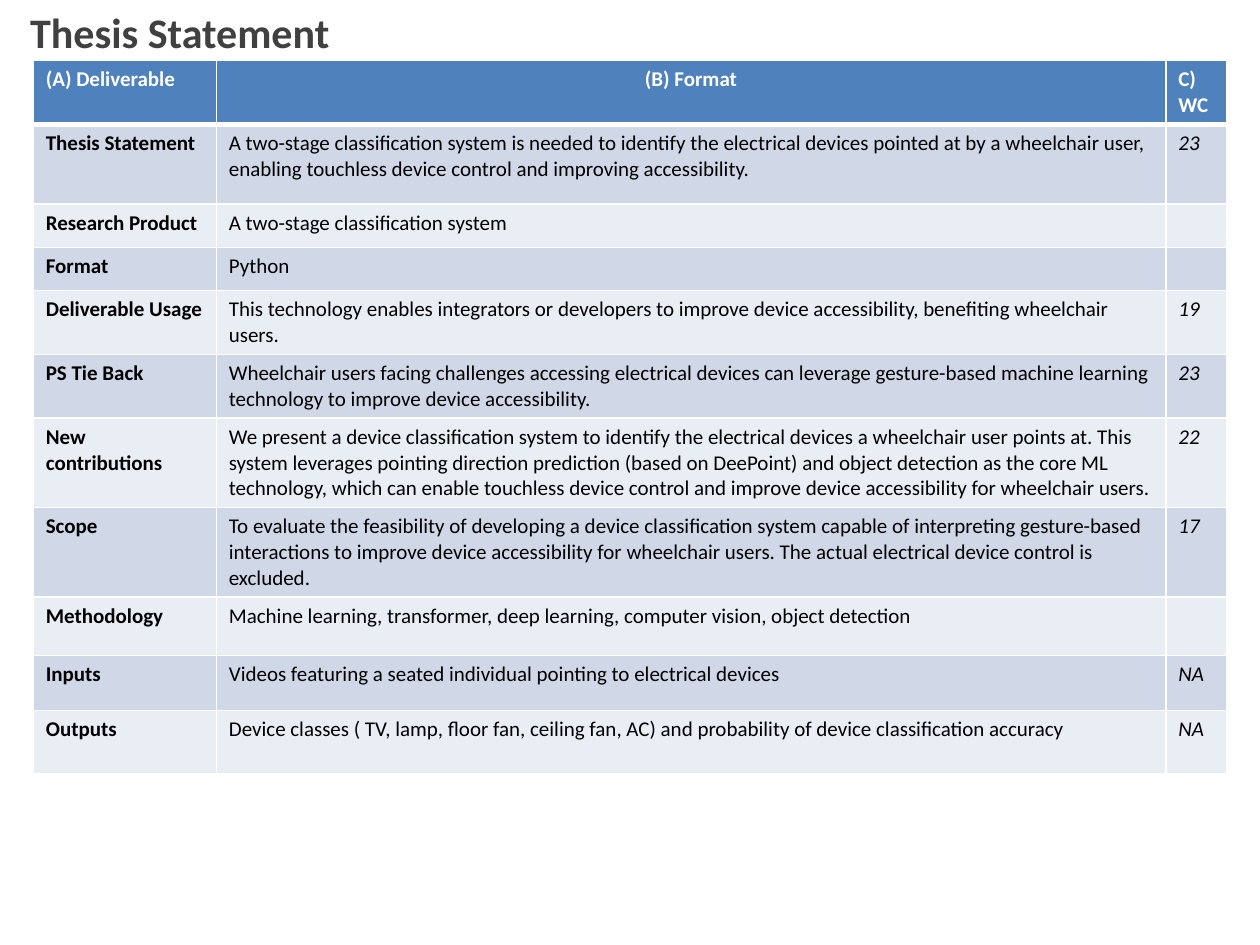
from lxml.etree import SubElement
from pptx import Presentation
from pptx.dml.color import RGBColor as RGB
from pptx.enum.text import MSO_ANCHOR as Anchor, PP_ALIGN as Align
from pptx.oxml.ns import qn
from pptx.util import Pt

FACE = "Calibri"
WHITE = RGB(0xFF, 0xFF, 0xFF)
BLACK = RGB(0, 0, 0)
GREY = RGB(0x40, 0x40, 0x40)
BLUE = RGB(0x4F, 0x81, 0xBD)
BANDS = [RGB(0xE9, 0xED, 0xF4), RGB(0xD0, 0xD8, 0xE8)]

WIDTHS = [104.6, 542.6, 34.7]
HEIGHTS = [36, 45.3, 25, 24.6, 36, 36, 39, 34.5, 33.4, 31.4, 36]
ROWS = [
    ("(A) Deliverable", "(B) Format", "C) WC"),
    ("Thesis Statement",
     "A two-stage classification system is needed to identify the electrical "
     "devices pointed at by a wheelchair user, enabling touchless device "
     "control and improving accessibility.", "23"),
    ("Research Product", "A two-stage classification system", ""),
    ("Format", "Python", ""),
    ("Deliverable Usage",
     "This technology enables integrators or developers to improve device "
     "accessibility, benefiting wheelchair users.", "19"),
    ("PS Tie Back",
     "Wheelchair users facing challenges accessing electrical devices can "
     "leverage gesture-based machine learning technology to improve device "
     "accessibility.", "23"),
    ("New contributions",
     "We present a device classification system to identify the electrical "
     "devices a wheelchair user points at. This system leverages pointing "
     "direction prediction (based on DeePoint) and object detection as the "
     "core ML technology, which can enable touchless device control and "
     "improve device accessibility for wheelchair users.", "22"),
    ("Scope",
     "To evaluate the feasibility of developing a device classification "
     "system capable of interpreting gesture-based interactions to improve "
     "device accessibility for wheelchair users. The actual electrical device "
     "control is excluded.", "17"),
    ("Methodology",
     "Machine learning, transformer, deep learning, computer vision, object "
     "detection", ""),
    ("Inputs",
     "Videos featuring a seated individual pointing to electrical devices",
     "NA"),
    ("Outputs",
     "Device classes ( TV, lamp, floor fan, ceiling fan, AC) and probability "
     "of device classification accuracy", "NA"),
]


def style(para, size, color, bold, slant=False):
    for run in para.runs:
        font = run.font
        font.name, font.size = FACE, Pt(size)
        font.bold, font.italic = bold, slant
        font.color.rgb = color


def add_title(slide, text):
    title = slide.shapes.title
    title.left, title.top = Pt(10), Pt(0)
    title.width, title.height = Pt(668), Pt(21)
    frame = title.text_frame
    frame.text = text
    frame.word_wrap = True
    frame.vertical_anchor = Anchor.TOP
    para = frame.paragraphs[0]
    para.alignment = Align.LEFT
    style(para, 24, GREY, True)


def set_edges(cell, **widths):
    """Draw white cell borders; keys L, R, T, B give widths in points."""
    props = cell._tc.get_or_add_tcPr()
    for side, width in widths.items():
        line = SubElement(props, qn(f"a:ln{side}"), w=str(Pt(width)))
        fill = SubElement(line, qn("a:solidFill"))
        SubElement(fill, qn("a:srgbClr"), val=str(WHITE))


def fill_cell(cell, text, row, col):
    head = row == 0
    set_edges(cell, L=1, R=1, T=3 if row == 1 else 1, B=3 if head else 1)
    cell.fill.solid()
    cell.fill.fore_color.rgb = BLUE if head else BANDS[row % 2]
    cell.text_frame.text = text
    para = cell.text_frame.paragraphs[0]
    para.alignment = Align.CENTER if head and col == 1 else Align.LEFT
    style(para, 12, WHITE if head else BLACK, head or col == 0,
          not head and col == 2)
    if not text:  # keeps an empty cell from stretching its row
        SubElement(para._p, qn("a:endParaRPr"), sz="1200")


def add_grid(slide):
    frame = slide.shapes.add_table(
        len(ROWS), len(WIDTHS), Pt(19), Pt(34.7),
        Pt(sum(WIDTHS)), Pt(sum(HEIGHTS)))
    table = frame.table
    for column, width in zip(table.columns, WIDTHS):
        column.width = Pt(width)
    for row, (texts, height) in enumerate(zip(ROWS, HEIGHTS)):
        table.rows[row].height = Pt(height)
        for col, text in enumerate(texts):
            fill_cell(table.cell(row, col), text, row, col)


def main():
    deck = Presentation()
    deck.slide_width, deck.slide_height = Pt(720), Pt(540)
    slide = deck.slides.add_slide(deck.slide_layouts[5])
    add_title(slide, "Thesis Statement")
    add_grid(slide)
    deck.save("out.pptx")


if __name__ == "__main__":
    main()
